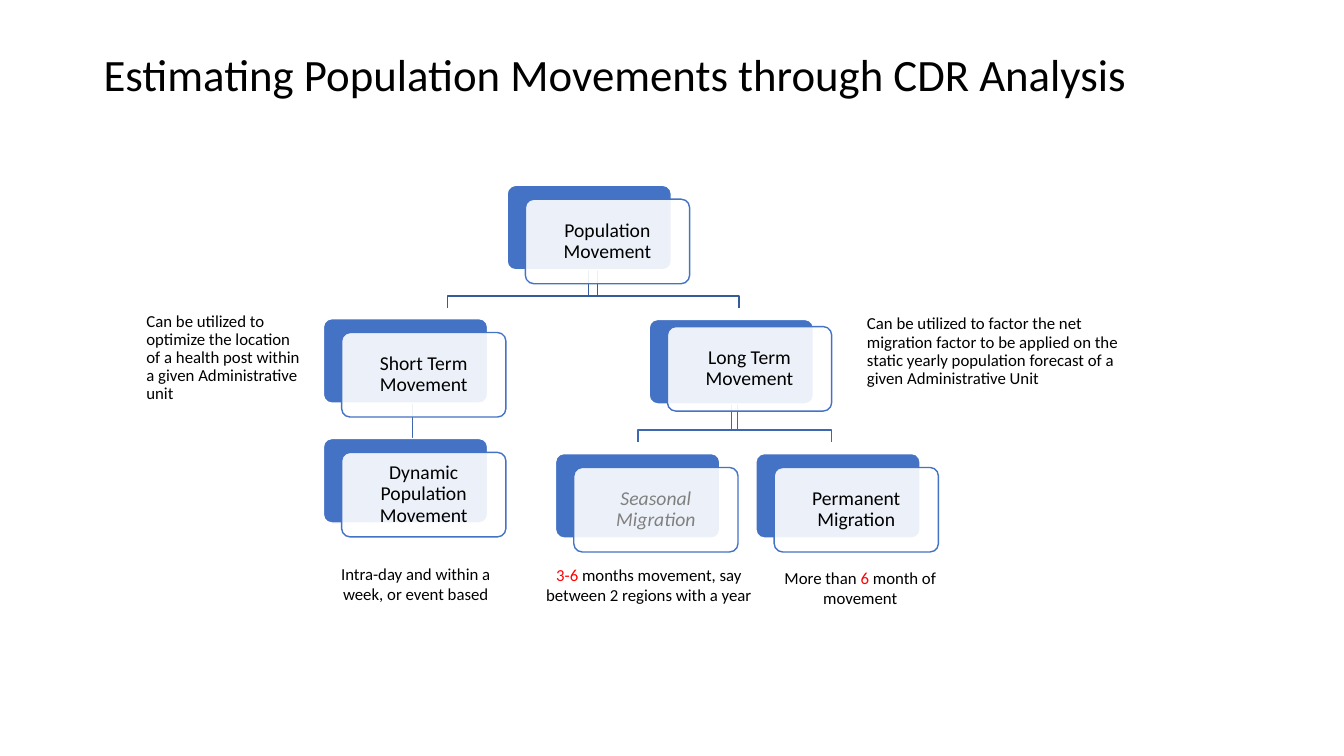
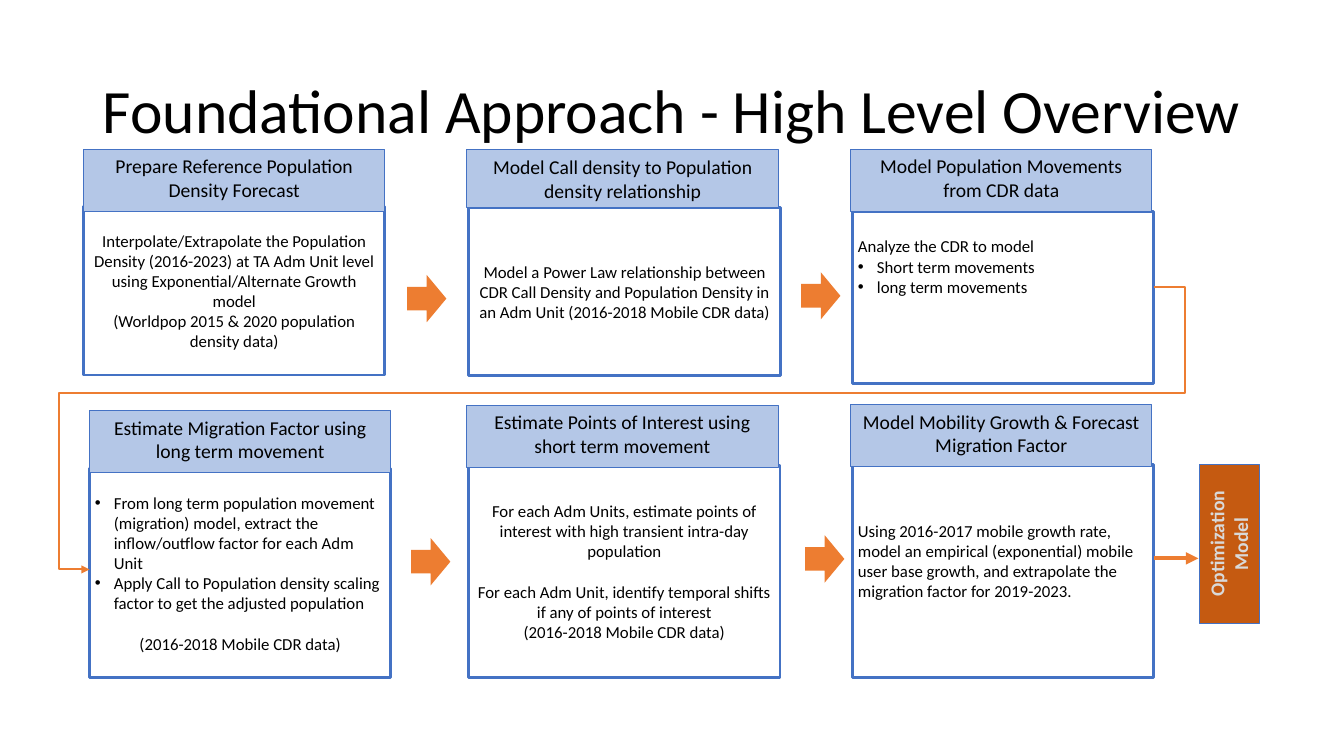
import pptx
import pptx.util
import pptx.dml.color
import pptx.enum.shapes
import pptx.enum.text
import pptx.oxml
import pptx.oxml.ns

Cm, Pt = pptx.util.Cm, pptx.util.Pt
SHAPE = pptx.enum.shapes.MSO_SHAPE
CONNECTOR = pptx.enum.shapes.MSO_CONNECTOR
ALIGN = pptx.enum.text.PP_ALIGN
ANCHOR = pptx.enum.text.MSO_ANCHOR
qn = pptx.oxml.ns.qn

FONT = "Calibri"
BLACK, WHITE, RED, GREY = "000000", "FFFFFF", "FF0000", "808080"
BLUE, PALE_BLUE, NAVY, MID_BLUE = "4472C4", "B4C7E7", "365B9D", "3E67B2"
ORANGE, RUST, SILVER = "ED7D31", "C55A11", "D9D9D9"
INSET = 0.13
BLANK_LINE = 14.6  # points, one 12 pt line
LINE_CM = 0.52


def rgb(value):
    return pptx.dml.color.RGBColor.from_string(value)


def sub(parent, tag, **attrs):
    """Append a DrawingML element."""
    el = parent.makeelement(qn(tag), attrs)
    parent.append(el)
    return el


def paint(sp, fill=None, line=None, width=1):
    sp.shadow.inherit = False
    if fill:
        sp.fill.solid()
        sp.fill.fore_color.rgb = rgb(fill)
    else:
        sp.fill.background()
    if line:
        sp.line.color.rgb = rgb(line)
        sp.line.width = Pt(width)
    else:
        sp.line.fill.background()


def add_shape(slide, kind, box, fill=None, line=None, width=1):
    sp = slide.shapes.add_shape(kind, *(Cm(v) for v in box))
    paint(sp, fill, line, width)
    return sp


def setup_frame(tf, insets, anchor=ANCHOR.TOP):
    """Insets run left, top, right, bottom in centimetres."""
    tf.word_wrap = True
    tf.auto_size = pptx.enum.text.MSO_AUTO_SIZE.NONE
    tf.vertical_anchor = anchor
    tf.margin_left, tf.margin_top, tf.margin_right, tf.margin_bottom = (
        Cm(v) for v in insets)


def add_runs(p, runs, size, align=ALIGN.LEFT, spacing=None, before=None,
             bullet=False, bold=False, italic=False):
    """Fill a paragraph from (text, colour) pairs."""
    if bullet:
        pPr = p._p.get_or_add_pPr()
        pPr.set("marL", str(Cm(0.48)))
        pPr.set("indent", str(-Cm(0.48)))
        sub(pPr, "a:buFont", typeface="Arial")
        sub(pPr, "a:buChar", char="•")
    p.alignment = align
    if spacing:
        p.line_spacing = spacing
    if before:
        p.space_before = Pt(before)
    for text, color in runs:
        r = p.add_run()
        r.text = text
        r.font.name = FONT
        r.font.size = Pt(size)
        r.font.bold, r.font.italic = bold, italic
        r.font.color.rgb = rgb(color)


def titled_slide(prs, title, box, size):
    slide = prs.slides.add_slide(prs.slide_layouts[5])
    sp = slide.shapes.title
    sp.left, sp.top, sp.width, sp.height = (Cm(v) for v in box)
    setup_frame(sp.text_frame, (0.25, INSET, 0.25, INSET), ANCHOR.MIDDLE)
    add_runs(sp.text_frame.paragraphs[0], [(title, BLACK)], size, spacing=0.9)
    return slide


# Population movement tree

def tree_branch(slide, x0, y0, x1, color):
    """Draw a branch that drops, turns towards x1 and drops again."""
    bend, end = y0 + 0.65, y0 + 0.96
    fb = slide.shapes.build_freeform(Cm(x0), Cm(y0))
    fb.add_line_segments([(Cm(x), Cm(y)) for x, y in
                          ((x0, bend), (x1, bend), (x1, end))], close=False)
    paint(fb.convert_to_shape(), line=color)


def tree_node(slide, x, y, text, drop=0.35, color=BLACK, italic=False):
    w, h = 4.14, 2.13
    back = add_shape(slide, SHAPE.ROUNDED_RECTANGLE, (x, y, w, h), BLUE, WHITE)
    front = add_shape(slide, SHAPE.ROUNDED_RECTANGLE,
                      (x + 0.46, y + drop, w, h), WHITE, BLUE)
    for sp in (back, front):
        sp.adjustments[0] = 0.1
    fill = front._element.spPr.find(qn("a:solidFill"))
    sub(fill[0], "a:alpha", val="90000")
    setup_frame(front.text_frame, (0.25,) * 4, ANCHOR.MIDDLE)
    add_runs(front.text_frame.paragraphs[0], [(text, color)], 14, ALIGN.CENTER,
             spacing=0.9, italic=italic)


def tree_note(slide, box, runs, align, spacing=None):
    sp = slide.shapes.add_textbox(*(Cm(v) for v in box))
    setup_frame(sp.text_frame, (INSET,) * 4)
    add_runs(sp.text_frame.paragraphs[0], runs, 12, align, spacing)


def movement_slide(prs):
    slide = titled_slide(
        prs, "Estimating Population Movements through CDR Analysis",
        (2.36, 0.91, 31.52, 2.08), 32)
    for branch in ((10.39, 10.19, 10.39, MID_BLUE),
                   (14.83, 6.81, 18.62, NAVY),
                   (18.44, 10.19, 20.96, MID_BLUE),
                   (18.59, 10.19, 16.08, MID_BLUE),
                   (15.06, 6.81, 11.28, NAVY)):
        tree_branch(slide, *branch)

    tree_node(slide, 12.78, 4.67, "Population Movement")
    tree_node(slide, 16.36, 8.05, "Long Term Movement", drop=0.18)
    tree_node(slide, 14, 11.43, "Seasonal Migration", color=GREY, italic=True)
    tree_node(slide, 19.05, 11.43, "Permanent Migration")
    tree_node(slide, 8.15, 8.03, "Short Term Movement")
    tree_node(slide, 8.15, 11.05, "Dynamic Population Movement")

    tree_note(slide, (7.98, 14.07, 5, 1.42),
              [("Intra-day and within a week, or event based", BLACK)],
              ALIGN.CENTER)
    tree_note(slide, (13.61, 14.1, 5.49, 1.93),
              [("3-6", RED),
               (" months movement, say between 2 regions with a year", BLACK)],
              ALIGN.CENTER)
    tree_note(slide, (19.51, 14.17, 4.34, 1.42),
              [("More than ", BLACK), ("6", RED),
               (" month of movement", BLACK)], ALIGN.CENTER)
    tree_note(slide, (3.56, 7.75, 4.22, 3),
              [("Can be utilized to optimize the location of a health post "
                "within a given Administrative unit", BLACK)],
              ALIGN.LEFT, 0.9)
    tree_note(slide, (21.72, 7.82, 6.99, 2.54),
              [("Can be utilized to factor the net migration factor to be "
                "applied on the static yearly population forecast of a given "
                "Administrative Unit", BLACK)], ALIGN.LEFT, 0.9)


# Approach overview

def label(slide, box, text, fill=PALE_BLUE, color=BLACK, bold=False):
    sp = add_shape(slide, SHAPE.RECTANGLE, box, fill, BLUE, 0.75)
    setup_frame(sp.text_frame, (0.25, INSET, 0.25, INSET))
    add_runs(sp.text_frame.paragraphs[0], [(text, color)], 14, ALIGN.CENTER,
             bold=bold)
    return sp


def step_card(slide, box, heading, paragraphs, head_h=1.57, overlap=0.0,
              shift=0.0, lift=0):
    """Draw a headed card; lift raises the text by that many half lines."""
    x, y, w, h = box
    top = head_h - overlap
    sp = add_shape(slide, SHAPE.RECTANGLE, (x + shift, y + top, w, h - top),
                   line=BLUE, width=2)
    tf = sp.text_frame
    setup_frame(tf, (INSET, INSET, INSET, INSET + lift * LINE_CM),
                ANCHOR.MIDDLE)
    for i, (text, style) in enumerate(paragraphs):
        p = tf.add_paragraph() if i else tf.paragraphs[0]
        add_runs(p, [(text, BLACK)], 12, **style)
    label(slide, (x, y, w, head_h), heading)


def flow_line(slide, start, end, width):
    cx = slide.shapes.add_connector(CONNECTOR.STRAIGHT,
                                    *(Cm(v) for v in start + end))
    cx.line.color.rgb = rgb(ORANGE)
    cx.line.width = Pt(width)
    sub(cx.line._get_or_add_ln(), "a:tailEnd", type="triangle")
    sub(cx._element.spPr, "a:effectLst")
    return cx


def wrap_line(slide, start, end):
    """Lead from the end of one row to the start of the next."""
    cx = flow_line(slide, start, end, 1.5)
    geom = cx._element.spPr.find(qn("a:prstGeom"))
    geom.set("prst", "bentConnector5")
    guides = geom.find(qn("a:avLst"))
    if guides is None:
        guides = sub(geom, "a:avLst")
    for i, value in enumerate((-2900, 37500, 102900), 1):
        sub(guides, "a:gd", name=f"adj{i}", fmla=f"val {value}")


def overview_slide(prs):
    slide = titled_slide(prs, "Foundational Approach - High Level Overview",
                         (2.34, 1.02, 29.21, 3.68), 44)
    left, center = {}, {"align": ALIGN.CENTER}
    bullet = {"bullet": True}
    spaced = {"align": ALIGN.CENTER, "before": BLANK_LINE}

    step_card(slide, (2.11, 3.76, 7.59, 5.69),
              "Prepare Reference Population Density Forecast",
              [("Interpolate/Extrapolate the Population Density (2016-2023) at "
                "TA Adm Unit level using Exponential/Alternate Growth model",
                center),
               ("(Worldpop 2015 & 2020 population density data)", center)],
              overlap=0.12)
    step_card(slide, (11.76, 3.78, 7.87, 5.69),
              "Model Call density to Population density relationship",
              [("Model a Power Law relationship between CDR Call Density and "
                "Population Density in an Adm Unit (2016-2018 Mobile CDR data)",
                center)], head_h=1.45, shift=0.05)
    step_card(slide, (21.44, 3.76, 7.59, 5.9),
              "Model Population Movements from CDR data",
              [("Analyze the CDR to model", left),
               ("Short term movements", bullet),
               ("long term movements", bullet)], shift=0.05, lift=3)
    step_card(slide, (2.26, 10.34, 7.59, 6.73),
              "Estimate Migration Factor using long term movement",
              [("From long term population movement (migration) model, extract "
                "the inflow/outflow factor for each Adm Unit", bullet),
               ("Apply Call to Population density scaling factor to get the "
                "adjusted population", bullet),
               ("(2016-2018 Mobile CDR data)", spaced)], overlap=0.1)
    step_card(slide, (11.76, 10.21, 7.85, 6.86),
              "Estimate Points of Interest using short term movement",
              [("For each Adm Units, estimate points of interest with high "
                "transient intra-day population", center),
               ("For each Adm Unit, identify temporal shifts if any of points "
                "of interest", spaced),
               ("(2016-2018 Mobile CDR data)", center)],
              overlap=0.05, shift=0.05)
    step_card(slide, (21.44, 10.19, 7.59, 6.88),
              "Model Mobility Growth & Forecast Migration Factor",
              [("Using 2016-2017 mobile growth rate, model an empirical "
                "(exponential) mobile user base growth, and extrapolate the "
                "migration factor for 2019-2023.", left)],
              overlap=0.05, shift=0.05, lift=1)

    wrap_line(slide, (29.08, 7.24), (2.26, 14.35))
    flow_line(slide, (29.08, 14.07), (30.2, 14.07), 3)
    result = label(slide, (28.98, 12.95, 4.01, 1.5), "Optimization Model",
                   RUST, SILVER, bold=True)
    result.rotation = 270
    for x, y in ((10.26, 6.93), (20.19, 6.86), (10.36, 13.56), (20.29, 13.49)):
        add_shape(slide, SHAPE.RIGHT_ARROW, (x, y, 0.99, 1.19), ORANGE)


def main():
    prs = pptx.Presentation()
    prs.slide_width, prs.slide_height = Cm(33.87), Cm(19.05)
    movement_slide(prs)
    overview_slide(prs)
    prs.save("out.pptx")


if __name__ == "__main__":
    main()
